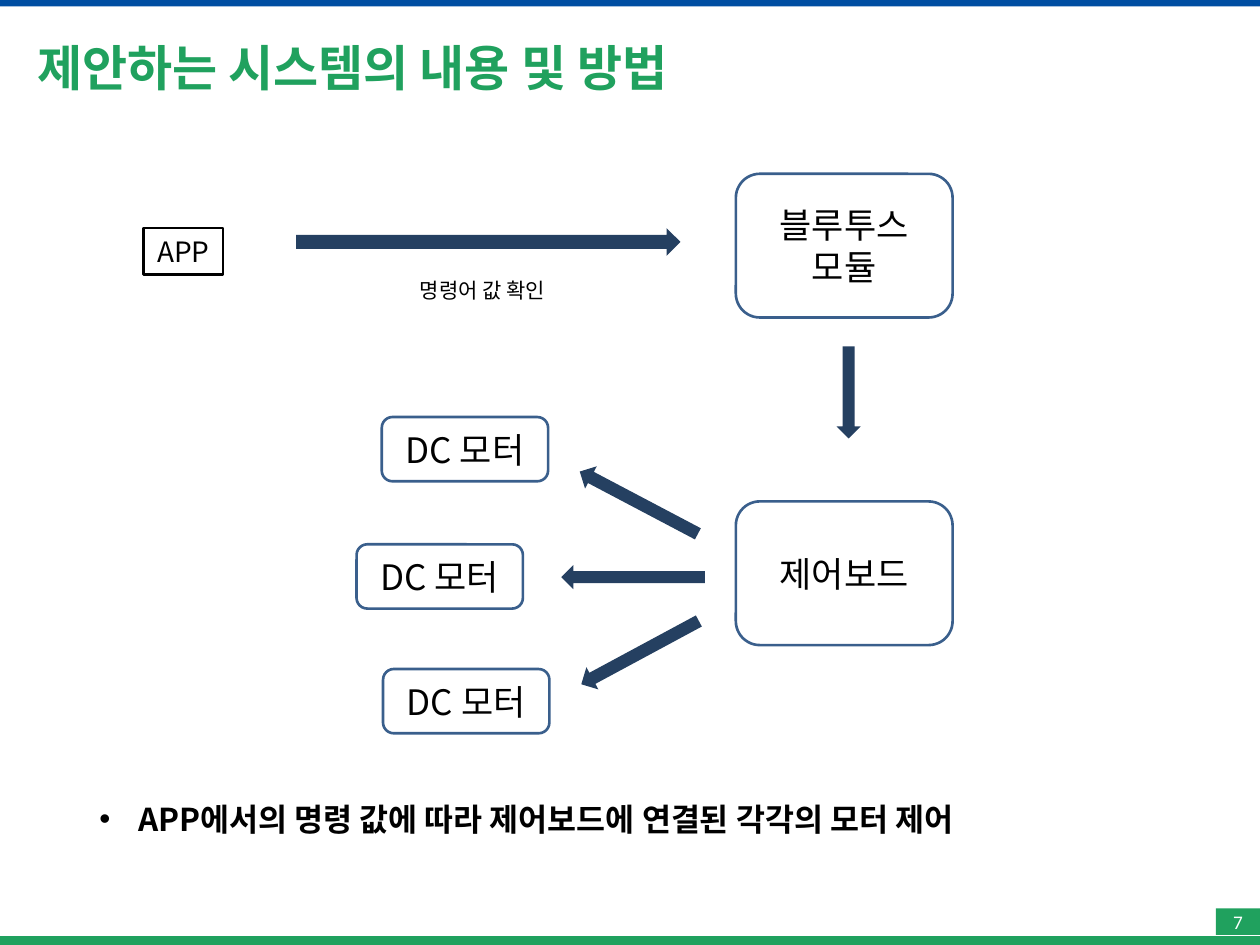
from lxml import etree
from pptx import Presentation
from pptx.dml.color import RGBColor
from pptx.enum import shapes, text
from pptx.oxml.ns import qn
from pptx.util import Inches, Pt

GREEN = RGBColor(0x20, 0xA1, 0x5E)
BLUE = RGBColor(0x00, 0x4E, 0xA2)
NAVY = RGBColor(0x25, 0x40, 0x61)
EDGE = RGBColor(0x3A, 0x5F, 0x8C)
WHITE = RGBColor(0xFF, 0xFF, 0xFF)
BLACK = RGBColor(0x00, 0x00, 0x00)
SANS = "Noto Sans CJK KR"
KIND = shapes.MSO_SHAPE
MID = text.MSO_ANCHOR.MIDDLE
CENTER = text.PP_ALIGN.CENTER

prs = Presentation()
prs.slide_width, prs.slide_height = Inches(10), Inches(7.5)
slide = prs.slides.add_slide(prs.slide_layouts[6])


def draw(kind, at, fill, line=None, turn=0):
    shape = slide.shapes.add_shape(kind, *map(Inches, at))
    shape.shadow.inherit = False
    shape.rotation = turn
    shape.fill.solid()
    shape.fill.fore_color.rgb = fill
    if line is None:
        shape.line.fill.background()
    else:
        shape.line.color.rgb = line
        shape.line.width = Pt(1.5)
    return shape


def write(shape, lines, size, color=BLACK, bold=False, face=SANS,
          align=CENTER, anchor=MID, wrap=True):
    frame = shape.text_frame
    frame.word_wrap = wrap
    frame.vertical_anchor = anchor
    for i, line in enumerate(lines):
        para = frame.add_paragraph() if i else frame.paragraphs[0]
        para.alignment = align
        run = para.add_run()
        run.text = line
        font = run.font
        font.name, font.size, font.bold = face, Pt(size), bold
        font.color.rgb = color
        east = etree.SubElement(font._element, qn("a:ea"))
        east.set("typeface", SANS)
    return frame


# Page frame
draw(KIND.RECTANGLE, (0, 7.43, 10, 0.07), GREEN)
draw(KIND.RECTANGLE, (0, 0, 10, 0.05), BLUE)
title = slide.shapes.add_textbox(*map(Inches, (0.2, 0.2, 9.61, 0.67)))
write(title, ["제안하는 시스템의 내용 및 방법"], 28, GREEN, True, "Calibri",
      text.PP_ALIGN.LEFT)
page = draw(KIND.RECTANGLE, (9.65, 7.21, 0.35, 0.21), GREEN)
frame = write(page, ["7"], 11, WHITE, face="Calibri")
frame.margin_left = frame.margin_right = 0
frame.margin_top = frame.margin_bottom = 0

# App and its command
app = draw(KIND.RECTANGLE, (1.14, 1.81, 0.63, 0.37), WHITE, BLACK)
write(app, ["APP"], 16, anchor=text.MSO_ANCHOR.TOP, wrap=False)
note = slide.shapes.add_textbox(*map(Inches, (2.69, 2.15, 2.28, 0.3)))
write(note, ["명령어 값 확인"], 12, anchor=text.MSO_ANCHOR.TOP)

# Modules and motors
nodes = [
    ((5.84, 1.38, 1.72, 1.14), ["블루투스", "모듈"]),
    ((5.84, 3.98, 1.72, 1.14), ["제어보드"]),
]
for left, top in [(3.03, 3.31), (2.83, 4.32), (3.04, 5.31)]:
    nodes.append(((left, top, 1.32, 0.51), ["DC 모터"]))
for at, lines in nodes:
    write(draw(KIND.ROUNDED_RECTANGLE, at, WHITE, EDGE), lines, 20)

# Flow arrows
draw(KIND.RIGHT_ARROW, (2.35, 1.81, 3.05, 0.22), NAVY)
for at, turn in [
    ((6.64, 2.75, 0.19, 0.73), 0),
    ((4.97, 3.46, 0.2, 1.06), 117.8),
    ((4.93, 4.01, 0.19, 1.14), 90),
    ((4.98, 4.65, 0.2, 1.06), 61.7),
]:
    draw(KIND.DOWN_ARROW, at, NAVY, turn=turn)

# Summary bullet
point = slide.shapes.add_textbox(*map(Inches, (0.69, 6.3, 8.33, 0.4)))
frame = write(point, ["APP에서의 명령 값에 따라 제어보드에 연결된 각각의 모터 제어"],
              18, bold=True, align=text.PP_ALIGN.LEFT,
              anchor=text.MSO_ANCHOR.TOP)
props = frame.paragraphs[0]._p.get_or_add_pPr()
props.set("marL", str(Inches(0.31)))
props.set("indent", str(Inches(-0.31)))
etree.SubElement(props, qn("a:buFont")).set("typeface", "Arial")
etree.SubElement(props, qn("a:buChar")).set("char", "•")

prs.save("out.pptx")
